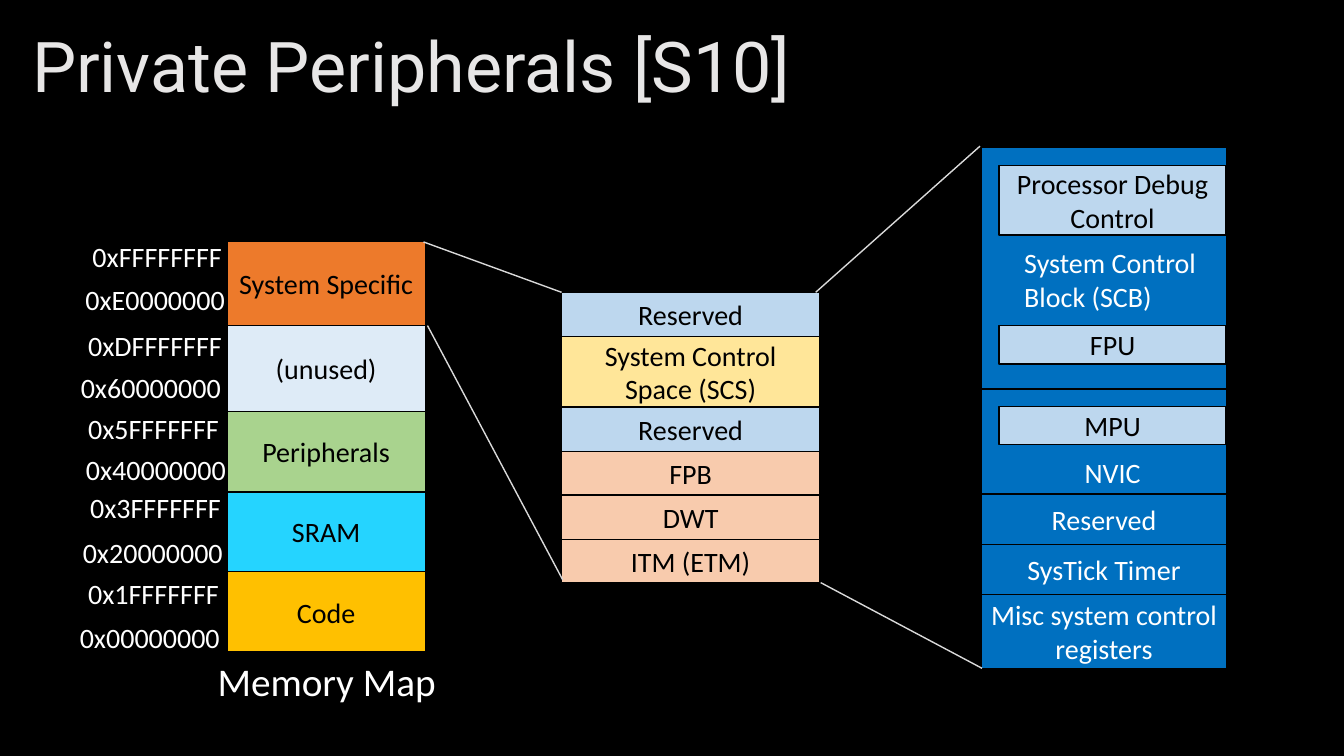
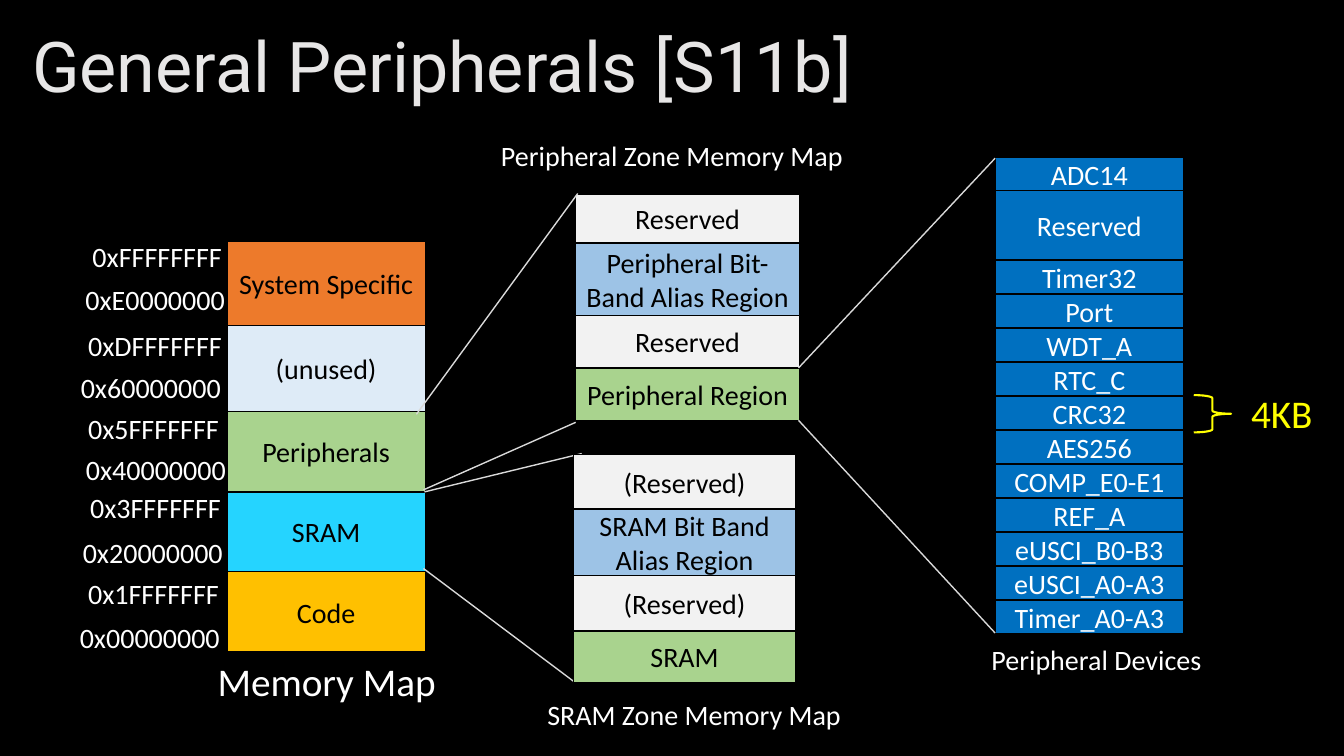
from lxml import etree
from pptx import Presentation
from pptx.dml.color import RGBColor
from pptx.enum.shapes import MSO_CONNECTOR, MSO_SHAPE
from pptx.enum.text import MSO_ANCHOR, PP_ALIGN
from pptx.oxml.ns import qn
from pptx.util import Inches, Pt

BLACK, WHITE = "000000", "FFFFFF"
TITLE_GREY, GUIDE_GREY, PALE_GREY = "E7E6E6", "D9D9D9", "F2F2F2"
BLUE, PALE_BLUE, ALIAS_BLUE = "0070C0", "BDD7EE", "9DC3E6"
PEACH, CREAM, GREEN, YELLOW = "F8CBAD", "FFE699", "A9D38E", "FFFF00"
BODY_FONT, TITLE_FONT = "Calibri", "Roboto"

MEMORY_ROWS = [  # text, fill, height
    ("System Specific", "ED7A2B", 0.84),
    ("(unused)", "DEEBF7", 0.85),
    ("Peripherals", GREEN, 0.8),
    ("SRAM", "25D4FF", 0.79),
    ("Code", "FFC000", 0.8),
]
ADDRESSES = [  # text, right edge and top within the memory map
    ("0xFFFFFFFF", 0.05, -0.06), ("0xE0000000", 0.08, 0.36),
    ("0xDFFFFFFF", 0.05, 0.82), ("0x60000000", 0.04, 1.24),
    ("0x5FFFFFFF", 0.02, 1.64), ("0x40000000", 0.09, 2.05),
    ("0x3FFFFFFF", 0.04, 2.43), ("0x20000000", 0.06, 2.87),
    ("0x1FFFFFFF", 0.02, 3.28), ("0x00000000", 0.03, 3.72),
]


def rgb(value):
    return RGBColor.from_string(value)


def write(shape, text, size, color, align, font=BODY_FONT):
    p = shape.text_frame.paragraphs[0]
    p.alignment = align
    r = p.add_run()
    r.text = text
    r.font.size, r.font.name = Pt(size), font
    r.font.color.rgb = rgb(color)
    return p


def add_label(shapes, text, x, y, w, h, size=20, color=WHITE, align=PP_ALIGN.LEFT):
    tb = shapes.add_textbox(Inches(x), Inches(y), Inches(w), Inches(h))
    tb.text_frame.word_wrap = True
    write(tb, text, size, color, align)


def add_block(shapes, text, x, y, w, h, fill):
    sp = shapes.add_shape(MSO_SHAPE.RECTANGLE, Inches(x), Inches(y), Inches(w), Inches(h))
    sp.shadow.inherit = False
    sp.fill.solid()
    sp.fill.fore_color.rgb = rgb(fill)
    sp.line.color.rgb = rgb(BLACK)
    sp.line.width = Pt(1)
    sp.text_frame.vertical_anchor = MSO_ANCHOR.MIDDLE
    if text:
        write(sp, text, 20, WHITE if fill == BLUE else BLACK, PP_ALIGN.CENTER)


def add_stack(s, x, y, w, rows):
    """Pile rows of (text, fill, height) downwards as one group and return its shapes."""
    shapes = s.shapes.add_group_shape().shapes
    for text, fill, h in rows:
        add_block(shapes, text, x, y, w, h, fill)
        y += h
    return shapes


def add_guides(s, *guides):
    for ends in guides:
        line = s.shapes.add_connector(MSO_CONNECTOR.STRAIGHT, *map(Inches, ends))
        line.line.color.rgb = rgb(GUIDE_GREY)
        line.line.width = Pt(1)
        etree.SubElement(line._element.spPr, qn("a:effectLst"))


def add_memory_map(s, x, y):
    add_label(s.shapes, "Memory Map", x - 0.19, y + 4.08, 2.39, 0.57, size=28)
    shapes = add_stack(s, x, y, 1.97, MEMORY_ROWS)
    for text, right, top in ADDRESSES:
        add_label(shapes, text, x + right - 1.6, y + top, 1.6, 0.52, align=PP_ALIGN.RIGHT)


def add_control_space(s, x, y):
    shapes = add_stack(s, x, y, 2.44, [
        ("", BLUE, 2.4), ("", BLUE, 1.04), ("Reserved", BLUE, 0.5),
        ("SysTick Timer", BLUE, 0.5), ("Misc system control registers", BLUE, 0.73)])
    for text, top, h in [("Processor Debug Control", 0.18, 0.69),
                         ("FPU", 1.77, 0.38), ("MPU", 2.57, 0.38)]:
        add_block(shapes, text, x + 0.18, y + top, 2.25, h, PALE_BLUE)
    add_label(shapes, "System Control Block (SCB)", x + 0.33, y + 0.93, 2.09, 0.77)
    add_label(shapes, "NVIC", x + 0.93, y + 3.01, 0.97, 0.43)


def add_devices(s, x, y):
    names = ["Timer32", "Port", "WDT_A", "RTC_C", "CRC32", "AES256", "COMP_E0-E1",
             "REF_A", "eUSCI_B0-B3", "eUSCI_A0-A3", "Timer_A0-A3"]
    row_h = 3.71 / len(names)
    add_stack(s, x, y, 1.87, [("ADC14", BLUE, 0.33), ("Reserved", BLUE, 0.69)]
              + [(name, BLUE, row_h) for name in names])
    add_label(s.shapes, "Peripheral Devices", x - 0.15, y + 4.77, 2.31, 0.44,
              align=PP_ALIGN.CENTER)
    brace = s.shapes.add_shape(MSO_SHAPE.RIGHT_BRACE, Inches(x + 1.97), Inches(y + 2.36),
                               Inches(0.37), Inches(0.37))
    brace.shadow.inherit = False
    brace.fill.background()
    brace.line.color.rgb = rgb(YELLOW)
    brace.line.width = Pt(1.5)
    add_label(s.shapes, "4KB", x + 2.44, y + 2.25, 0.82, 0.57, size=28, color=YELLOW)


def add_map_slide(prs, title):
    """Add a black slide with its title and the memory map."""
    s = prs.slides.add_slide(prs.slide_layouts[6])
    s.background.fill.solid()
    s.background.fill.fore_color.rgb = rgb(BLACK)
    tb = s.shapes.add_textbox(Inches(0.22), Inches(0.21), Inches(12.89), Inches(0.97))
    tb.text_frame.word_wrap = True
    tb.text_frame.vertical_anchor = MSO_ANCHOR.MIDDLE
    write(tb, title, 50, TITLE_GREY, PP_ALIGN.LEFT, TITLE_FONT).line_spacing = 0.9
    add_memory_map(s, 2.25, 2.39)
    return s


def add_private_slide(prs):
    s = add_map_slide(prs, "Private Peripherals [S10]")
    add_control_space(s, 9.73, 1.46)
    add_stack(s, 5.57, 2.9, 2.56, [
        ("Reserved", PALE_BLUE, 0.44), ("System Control Space (SCS)", CREAM, 0.7),
        ("Reserved", PALE_BLUE, 0.44), ("FPB", PEACH, 0.43),
        ("DWT", PEACH, 0.44), ("ITM (ETM)", PEACH, 0.43)])
    add_guides(s, (4.24, 3.23, 5.58, 5.75), (4.2, 2.4, 5.57, 2.9),
               (8.14, 5.78, 9.74, 6.63), (8.09, 2.9, 9.72, 1.45))


def add_general_slide(prs):
    s = add_map_slide(prs, "General Peripherals [S11b]")
    add_guides(s, (4.2, 5.64, 5.69, 6.76), (4.21, 4.88, 5.77, 4.5))
    add_stack(s, 5.69, 4.51, 2.2, [
        ("(Reserved)", PALE_GREY, 0.54), ("SRAM Bit Band Alias Region", ALIAS_BLUE, 0.66),
        ("(Reserved)", PALE_GREY, 0.55), ("SRAM", GREEN, 0.51)])
    add_stack(s, 5.71, 1.93, 2.22, [
        ("Reserved", PALE_GREY, 0.48), ("Peripheral Bit-Band Alias Region", ALIAS_BLUE, 0.72),
        ("Reserved", PALE_GREY, 0.52), ("Peripheral Region", GREEN, 0.52)])
    for zone, x, y in [("Peripheral", 4.6, 1.33), ("SRAM", 4.82, 6.87)]:
        add_label(s.shapes, f"{zone} Zone Memory Map", x, y, 4.13, 0.44,
                  align=PP_ALIGN.CENTER)
    add_devices(s, 9.87, 1.56)
    add_guides(s, (4.13, 4.11, 5.73, 1.92), (4.2, 4.86, 5.71, 4.19),
               (7.92, 3.65, 9.87, 1.57), (7.92, 4.17, 9.87, 6.28))


def main():
    prs = Presentation()
    prs.slide_width, prs.slide_height = Inches(13.33), Inches(7.5)
    add_private_slide(prs)
    add_general_slide(prs)
    prs.save("out.pptx")


if __name__ == "__main__":
    main()
